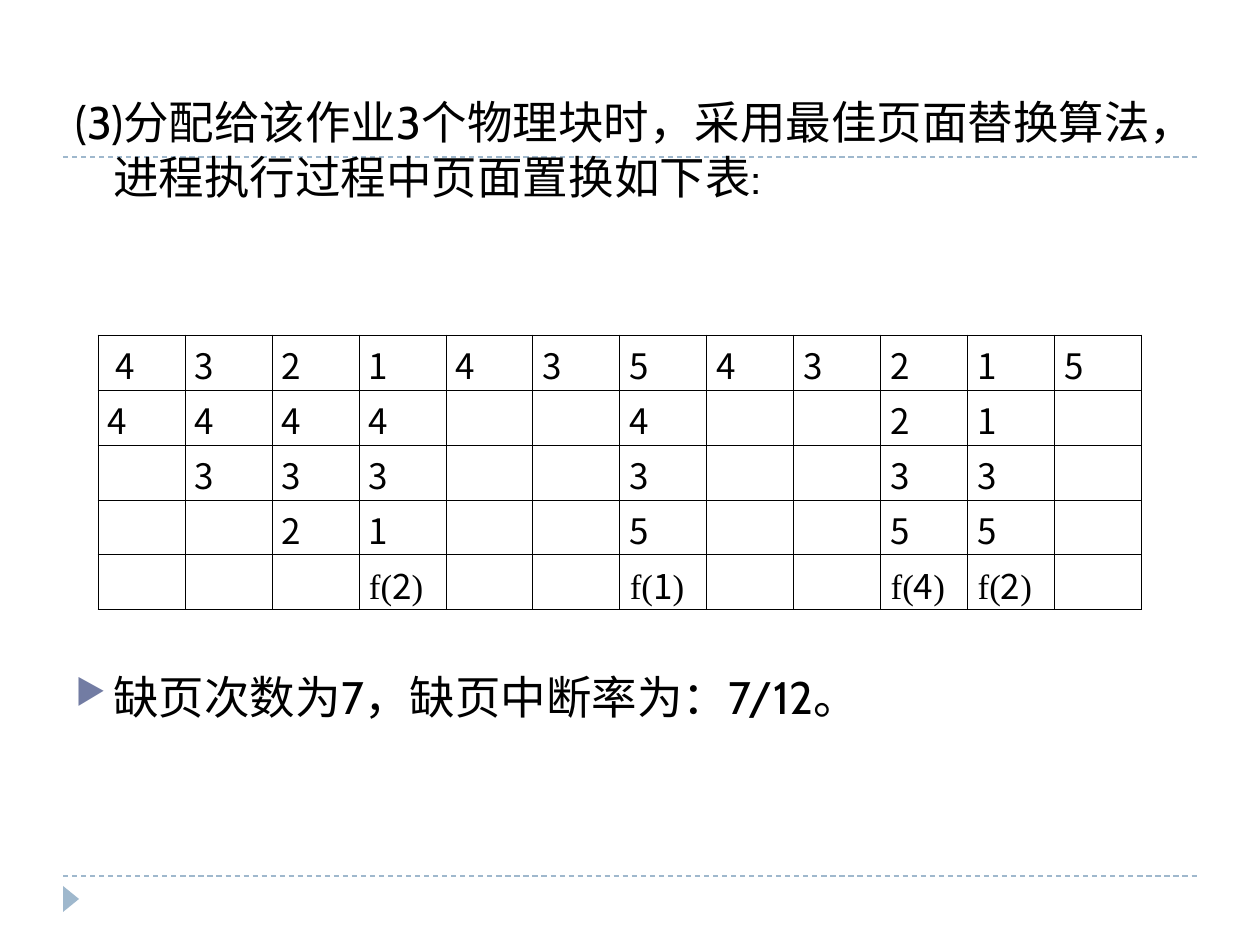
from lxml import etree
from pptx import Presentation
from pptx import util as u
from pptx.dml.color import RGBColor
from pptx.enum import dml, shapes, text
from pptx.oxml import ns

BLACK = RGBColor(0x00, 0x00, 0x00)
MIST = RGBColor(0x9F, 0xB8, 0xCD)
PLUM = RGBColor(0x72, 0x7C, 0xA3)
BODY, DIGIT, LATIN = "Cabin", "Noto Sans CJK SC", "Times New Roman"
SCALE = 914400 / 126

PAGES = [" 4", "3", "2", "1", "4", "3", "5", "4", "3", "2", "1", "5"]
ROWS = [
    PAGES,
    ["4", "4", "4", "4", "", "", "4", "", "", "2", "1", ""],
    ["", "3", "3", "3", "", "", "3", "", "", "3", "3", ""],
    ["", "", "2", "1", "", "", "5", "", "", "5", "5", ""],
    ["", "", "", "f(2)", "", "", "f(1)", "", "", "f(4)", "f(2)", ""],
]


def px(n):
    return u.Emu(round(n * SCALE))


def put(obj, vals):
    for key, val in vals.items():
        setattr(obj, key, val)


def node(root, tag, **attrs):
    return etree.SubElement(root, ns.qn("a:" + tag), attrs)


class Deck:
    """Holds the style and the current slide."""

    def __init__(self, wide, high):
        self.prs = Presentation()
        put(self.prs, {"slide_width": px(wide), "slide_height": px(high)})
        self.slide = self.prs.slides.add_slide(self.prs.slide_layouts[6])

    def run(self, para, words, font, size):
        """Add a run whose Latin and East Asian fonts are the same."""
        run = para.add_run()
        run.text = words
        put(run.font, {"name": font, "size": u.Pt(size)})
        run.font.color.rgb = BLACK
        node(run.font._element, "ea", typeface=font)

    def rule(self, left, right, y):
        line = self.slide.shapes.add_connector(
            shapes.MSO_CONNECTOR.STRAIGHT, px(left), px(y), px(right), px(y))
        put(line.line, {"width": u.Pt(0.75),
                        "dash_style": dml.MSO_LINE.DASH})
        line.line.color.rgb = MIST
        node(line._element.spPr, "effectLst")

    def mark(self, x, y, wide, high):
        """Draw a triangle turned to point right."""
        mark = self.slide.shapes.add_shape(
            shapes.MSO_SHAPE.ISOSCELES_TRIANGLE,
            px(x), px(y), px(wide), px(high))
        mark.rotation = 90
        mark.shadow.inherit = False
        mark.fill.solid()
        mark.fill.fore_color.rgb = MIST
        mark.line.fill.background()

    def prose(self, x, y, wide, high, paras):
        """Add hanging paragraphs given as (words, space before, bullet)."""
        box = self.slide.shapes.add_textbox(px(x), px(y), px(wide), px(high))
        frame = box.text_frame
        put(frame, {"word_wrap": True,
                    "auto_size": text.MSO_AUTO_SIZE.NONE})
        for i, (words, gap, dot) in enumerate(paras):
            para = frame.add_paragraph() if i else frame.paragraphs[0]
            para.space_before = u.Pt(gap)
            props = para._p.get_or_add_pPr()
            props.set("marL", str(px(38)))
            props.set("indent", str(-px(38)))
            if dot:
                tint = node(props, "buClr")
                node(tint, "srgbClr", val=str(PLUM))
                node(props, "buSzPct", val="76000")
                node(props, "buChar", char=dot)
            else:
                node(props, "buNone")
            self.run(para, words, BODY, 26)

    def edge(self, cell):
        """Outline a cell on all four sides."""
        props = cell._tc.get_or_add_tcPr()
        for i, side in enumerate(("lnL", "lnR", "lnT", "lnB")):
            line = node(props, side, w=str(u.Pt(0.45)))
            fill = node(line, "solidFill")
            node(fill, "srgbClr", val=str(BLACK))
            props.insert(i, line)

    def grid(self, x, y, wide, high, rows):
        """Add a table; wide and high are the size of one cell."""
        cols = len(rows[0])
        table = self.slide.shapes.add_table(
            len(rows), cols, px(x), px(y),
            px(wide * cols), px(high * len(rows))).table
        put(table, {"first_row": False, "horz_banding": False})
        for col in table.columns:
            col.width = px(wide)
        for r, row in enumerate(rows):
            table.rows[r].height = px(high)
            for c, words in enumerate(row):
                cell = table.cell(r, c)
                put(cell, {"margin_left": px(10), "margin_right": px(10),
                           "margin_top": px(4), "margin_bottom": 0})
                cell.fill.background()
                self.edge(cell)
                self.entry(cell.text_frame.paragraphs[0], words)

    def entry(self, para, words):
        """Write a page number, or a fault such as f(2) in two fonts."""
        para.alignment = text.PP_ALIGN.JUSTIFY
        if words.startswith("f"):
            self.run(para, words[:2], LATIN, 20)
            self.run(para, words[2:-1], DIGIT, 20)
            self.run(para, words[-1], LATIN, 20)
        elif words:
            self.run(para, words, DIGIT, 20)


def main():
    deck = Deck(1260, 945)
    for y in (876, 157):
        deck.rule(63, 1197, y)
    deck.mark(58, 891, 26, 16)
    deck.prose(63, 88, 1134, 756, [
        ("(3)分配给该作业3个物理块时，采用最佳页面替换算法，"
         "进程执行过程中页面置换如下表:", 0, None),
        ("缺页次数为7，缺页中断率为：7/12。", 266, "▶"),
    ])
    deck.grid(98, 335, 87, 55, ROWS)
    deck.prs.save("out.pptx")


if __name__ == "__main__":
    main()
